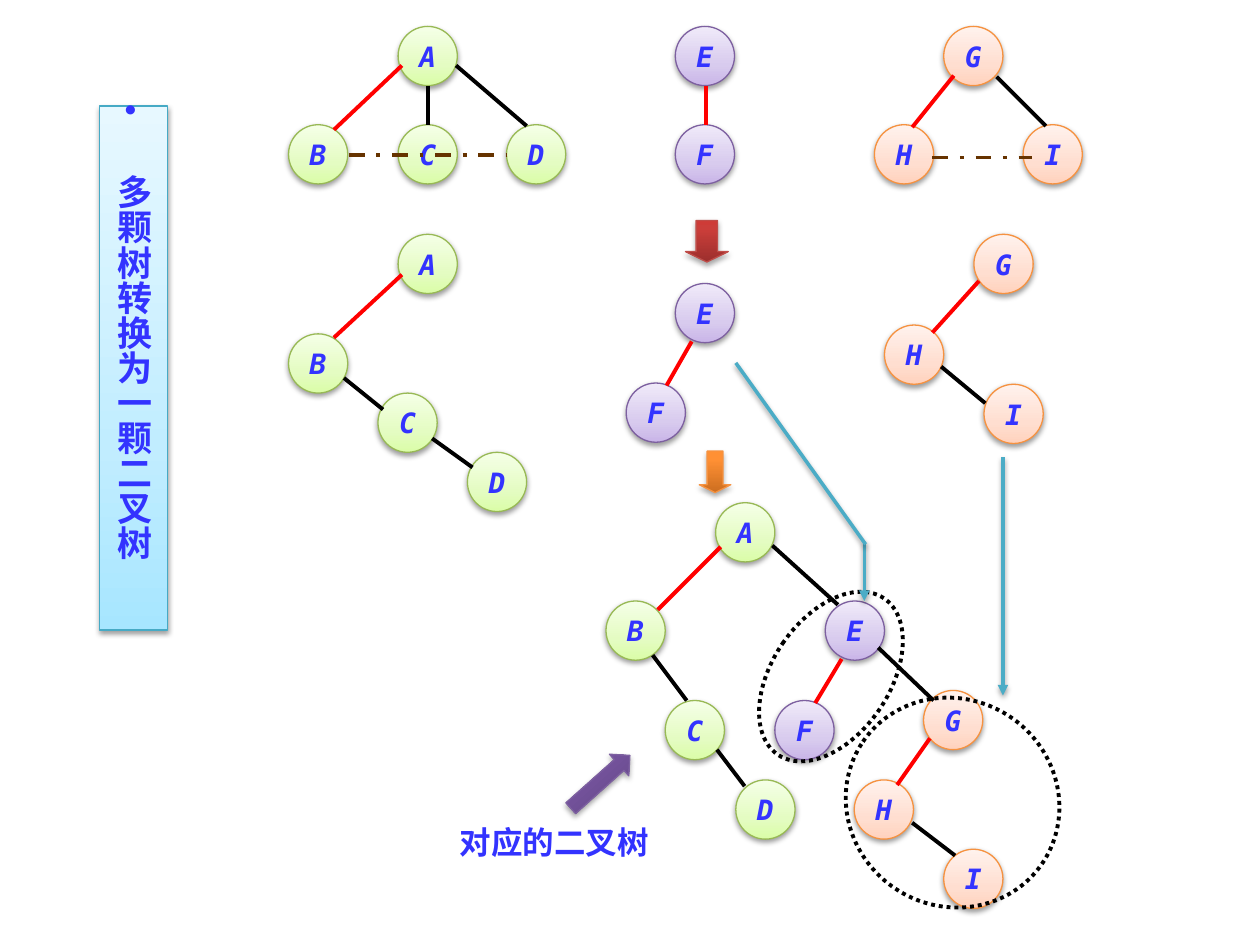
from dataclasses import dataclass

from lxml import etree
from pptx import Presentation
from pptx.dml.color import RGBColor
from pptx.enum import dml, shapes, text
from pptx.oxml import ns
from pptx.util import Inches, Pt


@dataclass(frozen=True)
class Skin:
    stops: tuple
    outline: str


@dataclass(frozen=True)
class Theme:
    ink: str = "3333FF"
    left_edge: str = "FF0000"
    right_edge: str = "000000"
    sibling: str = "663300"
    route: str = "4BACC6"
    node_font: str = "DejaVu Sans Mono"
    title_font: str = "Noto Sans CJK JP"
    label_font: str = "Noto Sans CJK SC"
    node_size: int = 16
    title_size: int = 20
    label_size: int = 18
    edge_width: float = 2.25
    route_width: float = 2
    outline_width: float = 0.75
    node: float = 0.47
    green: Skin = Skin(((0, "DAFDA7"), (35, "E4FCC2"), (100, "F5FFE7")), "98B955")
    purple: Skin = Skin(((0, "C9B5E8"), (35, "D8CBEE"), (100, "F0EAF9")), "7D60A0")
    orange: Skin = Skin(((0, "FFD2BD"), (35, "FFDED0"), (100, "FFF2ED")), "F69240")
    panel: Skin = Skin(((0, "A7E6FF"), (35, "C1EDFF"), (100, "E7F8FF")), "46AAC5")
    red_arrow: Skin = Skin(((0, "9C2F2D"), (80, "CB3E3A"), (100, "CE3B37")), "BF4C48")
    orange_arrow: Skin = Skin(((0, "CC6E20"), (80, "FF9034"), (100, "FF9136")), "F69240")
    purple_arrow: Skin = Skin(((0, "5F4480"), (80, "7B58A6"), (100, "7C57A8")), "7D60A0")


THEME = Theme()
RED, BLACK = THEME.left_edge, THEME.right_edge

TREES = [
    (THEME.green, {"A": (3.16, 0.21), "B": (2.29, 0.99), "C": (3.16, 0.99), "D": (4.02, 0.99)},
     [(RED, 3.19, 0.52, 2.65, 1.03), (BLACK, 3.4, 0.68, 3.4, 0.99),
      (BLACK, 3.62, 0.52, 4.18, 1)]),
    (THEME.purple, {"E": (5.36, 0.21), "F": (5.36, 0.99)}, [(RED, 5.6, 0.68, 5.6, 0.99)]),
    (THEME.orange, {"G": (7.49, 0.21), "H": (6.94, 0.99), "I": (8.12, 0.99)},
     [(RED, 7.57, 0.6, 7.24, 1.01), (BLACK, 7.91, 0.61, 8.3, 1)]),
    (THEME.green, {"A": (3.16, 1.86), "B": (2.29, 2.65), "C": (3, 3.12), "D": (3.71, 3.59)},
     [(RED, 3.19, 2.18, 2.65, 2.68), (BLACK, 2.73, 3, 3.04, 3.25),
      (BLACK, 3.43, 3.48, 3.75, 3.71)]),
    (THEME.purple, {"E": (5.36, 2.25), "F": (4.97, 3.04)}, [(RED, 5.49, 2.71, 5.29, 3.06)]),
    (THEME.orange, {"G": (7.73, 1.86), "H": (7.02, 2.58), "I": (7.81, 3.05)},
     [(RED, 7.77, 2.23, 7.4, 2.64), (BLACK, 7.47, 2.91, 7.82, 3.2)]),
    (THEME.orange, {"G": (7.33, 5.48), "H": (6.78, 6.19), "I": (7.49, 6.74)},
     [(RED, 7.38, 5.86, 7.12, 6.23), (BLACK, 7.24, 6.53, 7.58, 6.79)]),
    (THEME.green, {"A": (5.68, 3.99), "B": (4.81, 4.77), "C": (5.28, 5.56), "D": (5.84, 6.19)},
     [(RED, 5.72, 4.34, 5.22, 4.84), (BLACK, 5.18, 5.2, 5.45, 5.56),
      (BLACK, 5.69, 5.95, 5.91, 6.24)]),
    (THEME.purple, {"E": (6.55, 4.77), "F": (6.15, 5.56)},
     [(RED, 6.68, 5.23, 6.47, 5.58), (BLACK, 6.13, 4.33, 6.65, 4.8),
      (BLACK, 6.97, 5.14, 7.41, 5.56)]),
]


def add_child(parent, tag, **attributes):
    return etree.SubElement(parent, ns.qn(tag), attributes)


def add_shadow(effects, alpha=38, distance=1.6):
    shadow = add_child(effects, "a:outerShdw", blurRad=str(Pt(3.1)), dist=str(Pt(distance)),
                       dir="5400000", rotWithShape="0")
    color = add_child(shadow, "a:srgbClr", val="000000")
    add_child(color, "a:alpha", val=str(alpha * 1000))


def style_line(line, color, width, dash=None):
    line.color.rgb = RGBColor.from_string(color)
    line.width = Pt(width)
    if dash:
        line.dash_style = dash


def apply_skin(shape, skin, **shadow):
    shape.fill.gradient()
    gradient = shape._element.spPr.find(ns.qn("a:gradFill"))
    for child in list(gradient):
        gradient.remove(child)
    stops = add_child(gradient, "a:gsLst")
    for position, color in skin.stops:
        stop = add_child(stops, "a:gs", pos=str(position * 1000))
        add_child(stop, "a:srgbClr", val=color)
    add_child(gradient, "a:lin", ang="16200000", scaled="0")
    style_line(shape.line, skin.outline, THEME.outline_width)
    shape.shadow.inherit = False
    add_shadow(shape._element.spPr.find(ns.qn("a:effectLst")), **shadow)


def style_text(paragraph, name, size, italic=False):
    font = paragraph.font
    font.size, font.bold, font.italic = Pt(size), True, italic
    font.color.rgb = RGBColor.from_string(THEME.ink)
    font.name = name
    add_child(font._element, "a:ea", typeface=name)


def add_node(slide, letter, left, top, skin):
    size = Inches(THEME.node)
    shape = slide.shapes.add_shape(shapes.MSO_SHAPE.OVAL, Inches(left), Inches(top), size, size)
    apply_skin(shape, skin)
    frame = shape.text_frame
    frame.word_wrap = False
    frame.vertical_anchor = text.MSO_ANCHOR.MIDDLE
    paragraph = frame.paragraphs[0]
    paragraph.text = letter
    paragraph.alignment = text.PP_ALIGN.CENTER
    style_text(paragraph, THEME.node_font, THEME.node_size, italic=True)


def add_line(slide, ends, color, width=THEME.edge_width, dash=None, arrow=False, shadow=False):
    connector = slide.shapes.add_connector(shapes.MSO_CONNECTOR.STRAIGHT, *map(Inches, ends))
    style_line(connector.line, color, width, dash)
    if arrow:
        add_child(connector.line._get_or_add_ln(), "a:tailEnd", type="triangle")
    effects = add_child(connector._element.spPr, "a:effectLst")
    if shadow:
        add_shadow(effects)


def add_tree(slide, skin, nodes, edges):
    for letter, (left, top) in nodes.items():
        add_node(slide, letter, left, top, skin)
    for color, *ends in edges:
        add_line(slide, ends, color)


def add_block_arrow(slide, kind, box, skin, head=0.5, rotation=0):
    shape = slide.shapes.add_shape(kind, *map(Inches, box))
    shape.adjustments[1] = head
    shape.rotation = rotation
    apply_skin(shape, skin, alpha=35, distance=1.8)


def add_ring(slide, box):
    shape = slide.shapes.add_shape(shapes.MSO_SHAPE.OVAL, *map(Inches, box))
    shape.rotation = 34.2
    shape.fill.background()
    shape.shadow.inherit = False
    style_line(shape.line, BLACK, THEME.edge_width, dml.MSO_LINE.ROUND_DOT)


def fill_title(slide, wording):
    title = slide.shapes.title
    title.left, title.top, title.width, title.height = map(Inches, (0.79, 0.84, 0.54, 4.16))
    apply_skin(title, THEME.panel)
    frame = title.text_frame
    frame.auto_size = text.MSO_AUTO_SIZE.NONE
    frame.vertical_anchor = text.MSO_ANCHOR.TOP
    frame._txBody.bodyPr.set("vert", "eaVert")
    paragraph = frame.paragraphs[0]
    paragraph.text = wording
    paragraph.alignment = text.PP_ALIGN.CENTER
    properties = paragraph._p.get_or_add_pPr()
    properties.set("marL", str(Inches(0.5)))
    properties.set("indent", str(Inches(-0.5)))
    add_child(properties, "a:buChar", char="•")
    style_text(paragraph, THEME.title_font, THEME.title_size)


def add_label(slide, wording, box):
    frame = slide.shapes.add_textbox(*map(Inches, box)).text_frame
    frame.word_wrap = True
    paragraph = frame.paragraphs[0]
    paragraph.text = wording
    style_text(paragraph, THEME.label_font, THEME.label_size)


def main():
    presentation = Presentation()
    presentation.slide_width, presentation.slide_height = Inches(10), Inches(7.5)
    slide = presentation.slides.add_slide(presentation.slide_layouts[5])
    fill_title(slide, "多颗树转换为一颗二叉树")
    for tree in TREES:
        add_tree(slide, *tree)
    down, right = shapes.MSO_SHAPE.DOWN_ARROW, shapes.MSO_SHAPE.RIGHT_ARROW
    add_block_arrow(slide, down, (5.44, 1.75, 0.34, 0.33), THEME.red_arrow, head=0.25)
    add_block_arrow(slide, down, (5.55, 3.58, 0.25, 0.33), THEME.orange_arrow, head=0.25)
    add_ring(slide, (6.13, 4.62, 0.93, 1.5))
    add_ring(slide, (6.7, 5.55, 1.72, 1.64))
    for ends, arrow in [((6.86, 4.3, 6.86, 4.77), True), ((6.87, 4.32, 5.84, 2.88), False),
                        ((7.96, 3.63, 7.96, 5.52), True)]:
        add_line(slide, ends, THEME.route, THEME.route_width, arrow=arrow, shadow=True)
    for ends in [(2.77, 1.23, 4.02, 1.23), (7.4, 1.25, 8.19, 1.25)]:
        add_line(slide, ends, THEME.sibling, dash=dml.MSO_LINE.DASH_DOT)
    add_label(slide, "对应的二叉树", (3.55, 6.48, 1.84, 0.4))
    add_block_arrow(slide, right, (4.45, 6.09, 0.63, 0.23), THEME.purple_arrow, rotation=318.2)
    presentation.save("out.pptx")


if __name__ == "__main__":
    main()
